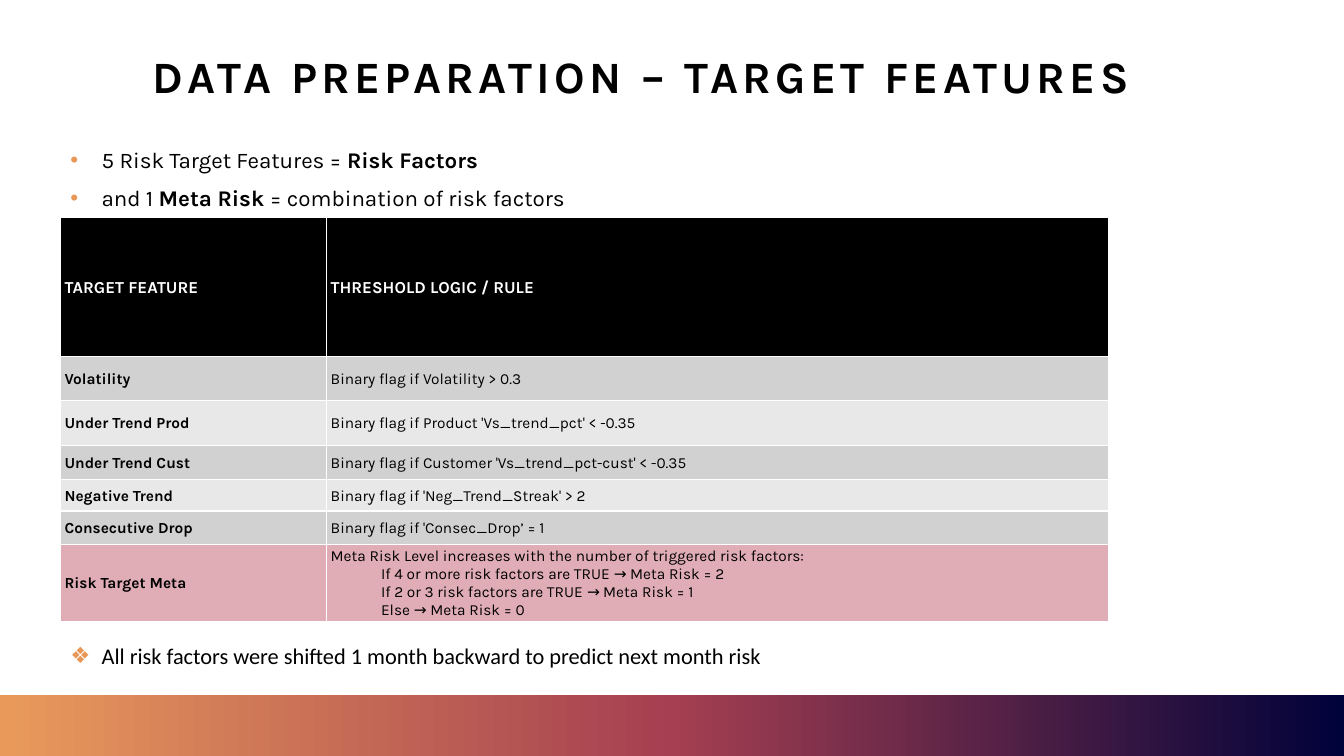
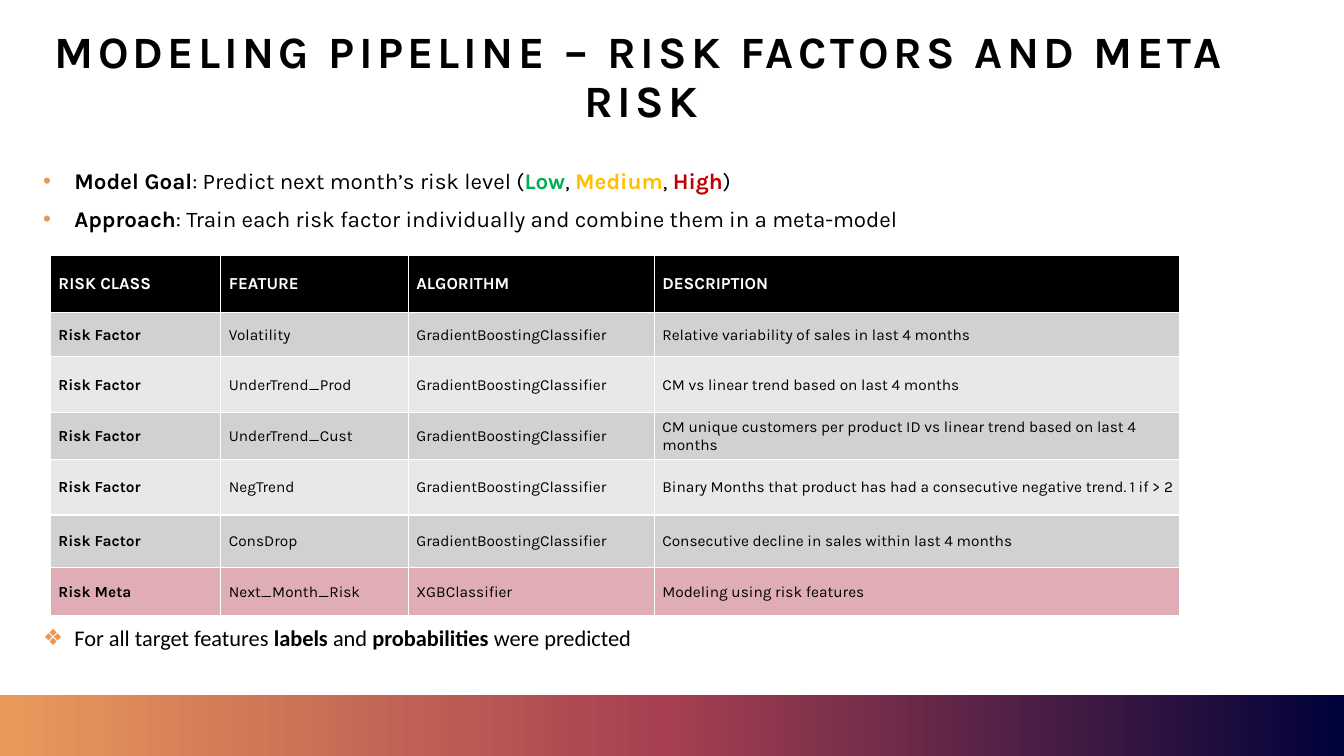
"""Build two slides on risk targets and the modeling pipeline."""
from lxml import etree
from pptx import Presentation
from pptx.dml.color import RGBColor
from pptx.enum.shapes import MSO_SHAPE
from pptx.enum.text import MSO_ANCHOR, PP_ALIGN
from pptx.oxml.ns import qn
from pptx.util import Inches, Pt

RECT = MSO_SHAPE.RECTANGLE
MIDDLE = MSO_ANCHOR.MIDDLE
CENTER = PP_ALIGN.CENTER
COLORS = {
    "black": "000000", "white": "FFFFFF", "dark": "D1D1D1", "light": "E8E8E9",
    "pink": "E0ADB6", "bullet": "E89756", "low": "00B050", "medium": "FFC000",
    "high": "C00000", "navy": "00023A", "wine": "A53F51", "orange": "E99A5B",
}
TITLE = {"name": "Karla", "size": Pt(32), "bold": True}
BODY = {"name": "Karla", "size": Pt(16), "bold": False}
NOTE = BODY | {"name": "Calibri"}
HEAD = {"name": "Karla", "size": Pt(12), "bold": True}
CELL = {"name": "Karla", "size": Pt(11), "bold": False}
ITEM = {"line_spacing": 0.9, "space_before": Pt(10)}

GOALS = [
    [("5 Risk Target Features = ",), ("Risk Factors", True)],
    [("and 1 ",), ("Meta Risk ", True), ("= combination of risk factors",)],
]
SHIFT = [[("All risk factors were shifted 1 month backward to predict next month risk",)]]
RULES = [
    ("TARGET FEATURE", "THRESHOLD LOGIC / RULE"),
    ("Volatility", "Binary flag if Volatility > 0.3"),
    ("Under Trend Prod", "Binary flag if Product 'Vs_trend_pct' < -0.35"),
    ("Under Trend Cust", "Binary flag if Customer 'Vs_trend_pct-cust' < -0.35"),
    ("Negative Trend", "Binary flag if 'Neg_Trend_Streak' > 2"),
    ("Consecutive Drop", "Binary flag if 'Consec_Drop’ = 1"),
    ("Risk Target Meta",
     "Meta Risk Level increases with the number of triggered risk factors:\n"
     "If 4 or more risk factors are TRUE → Meta Risk = 2\n"
     "If 2 or 3 risk factors are TRUE → Meta Risk = 1\n"
     "Else → Meta Risk = 0"),
]
PLAN = [
    [("Model Goal", True), (": Predict next month’s risk level (",),
     ("Low", True, "low"), (", ",), ("Medium", True, "medium"), (", ",),
     ("High", True, "high"), (")",)],
    [("Approach", True),
     (": Train each risk factor individually and combine them in a meta-model",)],
]
LABELS = [[("For all target features ",), ("labels", True), (" and ",),
           ("probabilities", True), (" were predicted",)]]
FACTORS = [
    ("Volatility", "Relative variability of sales in last 4 months"),
    ("UnderTrend_Prod", "CM vs linear trend based on last 4 months"),
    ("UnderTrend_Cust",
     "CM unique customers per product ID vs linear trend based on last 4 months"),
    ("NegTrend",
     "Binary Months that product has had a consecutive negative trend. 1 if > 2"),
    ("ConsDrop", "Consecutive decline in sales within last 4 months"),
]
MODELS = [
    ("RISK CLASS", "FEATURE", "ALGORITHM", "DESCRIPTION"),
    *[("Risk Factor", name, "GradientBoostingClassifier", text) for name, text in FACTORS],
    ("Risk Meta", "Next_Month_Risk", "XGBClassifier", "Modeling using risk features"),
]


def apply(target, values):
    """Set attributes from a dict of format values."""
    for name, value in values.items():
        setattr(target, name, value)


def add_node(parent, tag, **values):
    """Append an XML child with its attributes."""
    return etree.SubElement(parent, qn(tag), {k: str(v) for k, v in values.items()})


def add_color(parent, color):
    """Append a solid colour value."""
    add_node(parent, "a:srgbClr", val=COLORS[color])


def add_run(para, text, style, color="black"):
    """Add a run of text in one style."""
    run = para.add_run()
    run.text = text
    apply(run.font, style)
    run.font.color.rgb = RGBColor.from_string(COLORS[color])
    return run


def add_box(slide, left, top, width, height):
    """Add a wrapping text box and return its frame."""
    box = slide.shapes.add_textbox(*map(Inches, (left, top, width, height)))
    box.text_frame.word_wrap = True
    return box.text_frame


def add_band(slide):
    """Add the gradient band at the foot of the slide."""
    band = slide.shapes.add_shape(RECT, *map(Inches, (0, 6.89, 13.33, 0.61)))
    band.shadow.inherit = False
    band.line.fill.background()
    band.fill.gradient()
    band.fill.gradient_angle = 180
    stops = band._element.spPr.find(".//" + qn("a:gsLst"))
    stops.clear()
    for place, color in enumerate(("navy", "wine", "orange")):
        add_color(add_node(stops, "a:gs", pos=place * 50000), color)


def add_title(slide, text):
    """Add the centred, widely spaced title."""
    frame = add_box(slide, 0.33, 0.12, 12.06, 1.32)
    frame.vertical_anchor = MIDDLE
    para = frame.paragraphs[0]
    apply(para, {"alignment": CENTER, "line_spacing": 0.9})
    run = add_run(para, text, TITLE)
    run.font._element.set("spc", "300")


def add_list(slide, left, top, items, style=BODY, mark="•"):
    """Add a bullet list made of styled runs."""
    frame = add_box(slide, left, top, 11.03, 0.36 * len(items))
    for place, parts in enumerate(items):
        para = frame.add_paragraph() if place else frame.paragraphs[0]
        apply(para, ITEM)
        props = para._p.get_or_add_pPr()
        props.set("marL", str(Inches(0.31)))
        props.set("indent", str(-Inches(0.31)))
        add_color(add_node(props, "a:buClr"), "bullet")
        add_node(props, "a:buFont", typeface="Arial")
        add_node(props, "a:buChar", char=mark)
        for text, bold, color in (part + (False, "black")[len(part) - 1:] for part in parts):
            add_run(para, text, style | {"bold": bold}, color)


def fill_cell(cell, text, style, color, fill, inset):
    """Fill one cell with text, white borders and a colour."""
    apply(cell, {"vertical_anchor": MIDDLE, "margin_left": Inches(inset),
                 "margin_top": Inches(0.01), "margin_right": Inches(0.01),
                 "margin_bottom": 0})
    props = cell._tc.get_or_add_tcPr()
    for side in "LRTB":
        line = add_node(props, "a:ln" + side, w=Pt(1))
        add_color(add_node(line, "a:solidFill"), "white")
    cell.fill.solid()
    cell.fill.fore_color.rgb = RGBColor.from_string(COLORS[fill])
    for place, line in enumerate(text.split("\n")):
        para = cell.text_frame.add_paragraph() if place else cell.text_frame.paragraphs[0]
        if place:
            para._p.get_or_add_pPr().set("marL", str(Inches(0.5)))
        add_run(para, line, style, color)


def add_grid(slide, left, top, cols, rows, data, inset):
    """Add a table with a black head, grey bands and a pink last row."""
    size = map(Inches, (left, top, sum(cols), sum(rows)))
    table = slide.shapes.add_table(len(rows), len(cols), *size).table
    apply(table, {"first_row": False, "horz_banding": False})
    for col, width in zip(table.columns, cols):
        col.width = Inches(width)
    for row, height in zip(table.rows, rows):
        row.height = Inches(height)
    bands = [("light", "dark")[r % 2] for r in range(1, len(rows) - 1)]
    fills = ["black", *bands, "pink"]
    for r, texts in enumerate(data):
        for c, text in enumerate(texts):
            style = CELL | {"bold": c == 0} if r else HEAD
            color = "black" if r else "white"
            fill_cell(table.cell(r, c), text, style, color, fills[r], inset)


def add_page(deck, title):
    """Add a blank slide with the shared band and title."""
    slide = deck.slides.add_slide(deck.slide_layouts[6])
    add_band(slide)
    add_title(slide, title)
    return slide


def main():
    """Build and save the deck."""
    deck = Presentation()
    apply(deck, {"slide_width": Inches(13.33), "slide_height": Inches(7.5)})

    slide = add_page(deck, "DATA PREPARATION – TARGET FEATURES")
    add_list(slide, 0.6, 1.43, GOALS)
    add_grid(slide, 0.6, 2.16, (2.64, 7.76),
             (1.38, 0.43, 0.45, 0.34, 0.31, 0.33, 0.77), RULES, 0.04)
    add_list(slide, 0.6, 6.35, SHIFT, NOTE, "❖")

    slide = add_page(deck, "MODELING PIPELINE – RISK FACTORS AND META RISK")
    add_list(slide, 0.33, 1.64, PLAN)
    add_grid(slide, 0.5, 2.53, (1.69, 1.86, 2.44, 5.21),
             (0.57, 0.44, 0.55, 0.47, 0.55, 0.52, 0.48), MODELS, 0.08)
    add_list(slide, 0.33, 6.17, LABELS, NOTE, "❖")

    deck.save("out.pptx")


if __name__ == "__main__":
    main()
